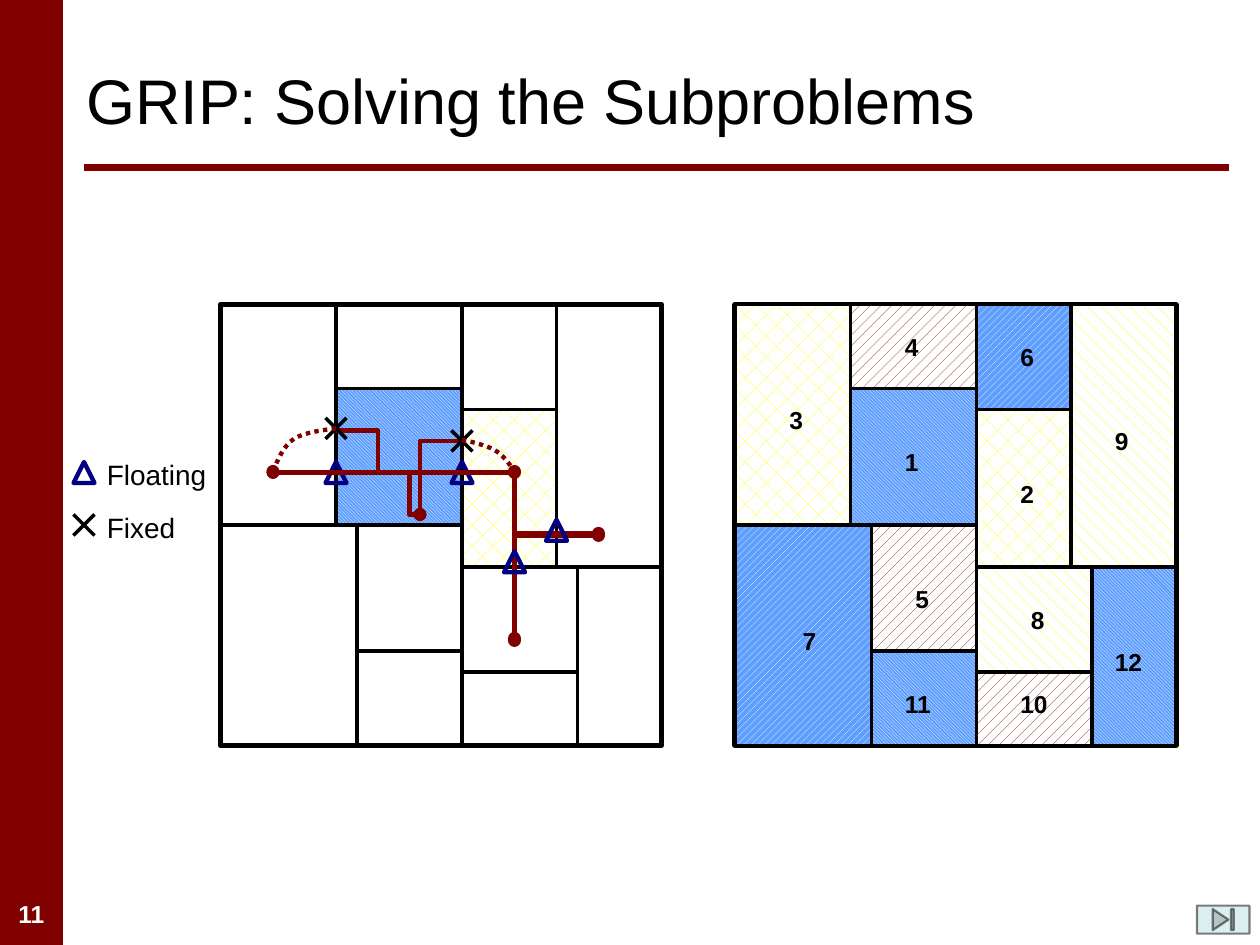
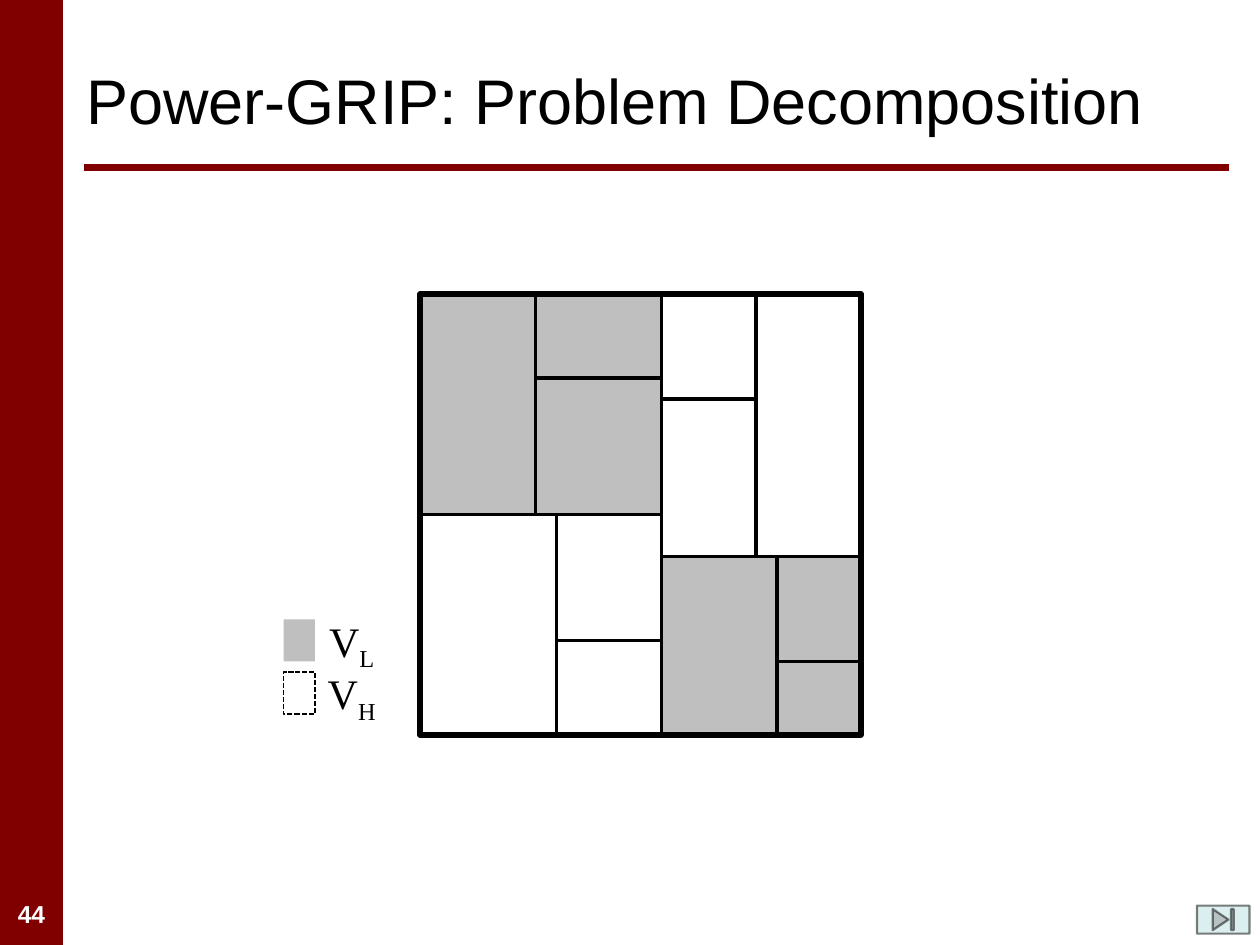
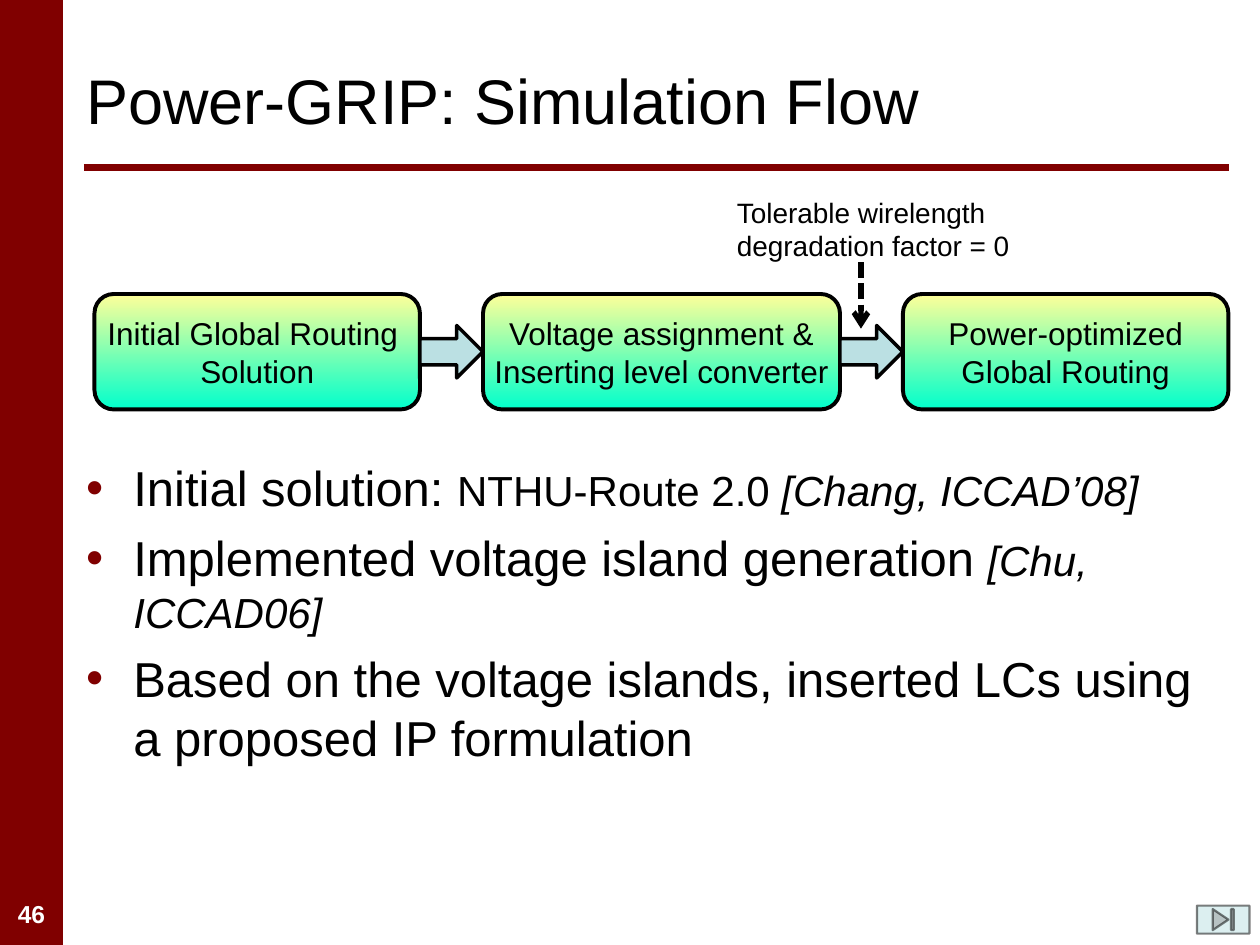
from pptx import Presentation
from pptx.dml.color import RGBColor
from pptx.enum.dml import MSO_LINE, MSO_PATTERN_TYPE as Pattern
from pptx.enum.shapes import MSO_CONNECTOR, MSO_SHAPE as Shape
from pptx.enum.text import MSO_ANCHOR, MSO_AUTO_SIZE, PP_ALIGN as Align
from pptx.oxml.ns import qn
from pptx.util import Emu, Inches, Pt
from lxml.etree import SubElement

COLORS = {
    "maroon": "800000", "navy": "000080", "black": "000000", "white": "FFFFFF",
    "yellow": "FFFF00", "blue": "5E9EFF", "gray": "BFBFBF", "teal": "BBE0E3",
    "cream": "FFFF99", "aqua": "00FFCC",
}
COLUMNS, ROWS = 120, 90
UNIT = Inches(10) / COLUMNS
BOARD = 42

HATCHES = {
    "brick": (Pattern.DIAGONAL_BRICK, "yellow", "white"),
    "down": (Pattern.DARK_DOWNWARD_DIAGONAL, "white", "blue"),
    "dots": (Pattern.PERCENT_20, "maroon", "white"),
    "up": (Pattern.WIDE_UPWARD_DIAGONAL, "white", "blue"),
    "shingle": (Pattern.SHINGLE, "yellow", "white"),
}
WALLS = [
    (23, 0, 23, 42), (0, 21, 23, 21), (23, 25, 42, 25), (32, 0, 32, 25),
    (34, 25, 34, 42), (11, 0, 11, 21), (13, 21, 13, 42), (23, 10, 32, 10),
    (11, 8, 23, 8), (13, 33, 23, 33),
]
ROOMS = [
    ((11, 8, 12, 13), "down", (15, 13)),
    ((23, 10, 9, 15), "brick", (26, 16)),
    ((0, 0, 11, 21), "brick", (4, 9)),
    ((11, 0, 12, 8), "dots", (15, 2)),
    ((13, 21, 10, 12), "dots", (16, 26)),
    ((23, 0, 9, 10), "up", (26, 3)),
    ((0, 21, 13, 21), "up", (5.25, 30)),
    ((23, 25, 11, 10), "shingle", (27, 28)),
    ((32, 0, 10, 25), "shingle", (35, 11)),
    ((23, 35, 11, 7), "dots", (26, 36)),
    ((13, 33, 10, 9), "down", (15, 36)),
    ((34, 25, 8, 17), "down", (35, 32)),
]


def grid(*values):
    return [Emu(round(value * UNIT)) for value in values]


def shift(rect, origin):
    return (rect[0] + origin[0], rect[1] + origin[1], *rect[2:])


def bezier(start, *curves, steps=8):
    points = [start]
    for first, second, end in curves:
        begin = points[-1]
        for step in range(1, steps + 1):
            t = step / steps
            weights = ((1 - t) ** 3, 3 * t * (1 - t) ** 2, 3 * t * t * (1 - t), t ** 3)
            corners = (begin, first, second, end)
            points.append(tuple(sum(w * c[axis] for w, c in zip(weights, corners))
                                for axis in (0, 1)))
    return points


class Deck:
    """Holds the shared style and the slide being drawn."""

    def __init__(self):
        self.presentation = Presentation()
        self.presentation.slide_width, self.presentation.slide_height = grid(COLUMNS, ROWS)
        self.slide = None

    def color(self, name):
        return RGBColor.from_string(COLORS[name])

    def start(self, title, number, layout=5):
        self.slide = self.presentation.slides.add_slide(self.presentation.slide_layouts[layout])
        self.shape(Shape.RECTANGLE, (0, 0, 6, ROWS), "maroon")
        self.line((8, 16), (117, 16), "maroon", 4)
        self.text((0, 85, 6, 4), [str(number)], 14, "white", bold=True, align=Align.CENTER)
        heading = self.slide.shapes.title
        self.place(heading, (7, 3, 110, 13))
        heading.text_frame.text = title
        heading.text_frame.vertical_anchor = MSO_ANCHOR.MIDDLE
        self.style(heading.text_frame.paragraphs[0], 36)

    def place(self, holder, rect):
        holder.left, holder.top, holder.width, holder.height = grid(*rect)
        holder.text_frame.auto_size = MSO_AUTO_SIZE.NONE

    def style(self, paragraph, size, color="black", font="Arial", bold=False, align=Align.LEFT):
        paragraph.alignment = align
        paragraph.font.name = font
        paragraph.font.size = Pt(size)
        paragraph.font.bold = bold
        paragraph.font.color.rgb = self.color(color)

    def fill_text(self, frame, lines, size, color="black", **options):
        frame.word_wrap = False
        for index, words in enumerate(lines):
            paragraph = frame.add_paragraph() if index else frame.paragraphs[0]
            paragraph.text = words
            self.style(paragraph, size, color, **options)

    def text(self, rect, lines, size, color="black", **options):
        box = self.slide.shapes.add_textbox(*grid(*rect))
        self.fill_text(box.text_frame, lines, size, color, **options)
        return box

    def stroke(self, line, color, width, dash=None, head=None, tail=None):
        line.color.rgb = self.color(color)
        line.width = Pt(width)
        if dash:
            line.dash_style = dash
        properties = line._get_or_add_ln()
        for tag, kind in (("a:headEnd", head), ("a:tailEnd", tail)):
            if kind:
                SubElement(properties, qn(tag)).set("type", kind)

    def shape(self, kind, rect, fill=None, line=None, width=2, dash=None):
        shape = self.slide.shapes.add_shape(kind, *grid(*rect))
        shape.shadow.inherit = False
        if fill in HATCHES:
            pattern, front, back = HATCHES[fill]
            shape.fill.patterned()
            shape.fill.pattern = pattern
            shape.fill.fore_color.rgb = self.color(front)
            shape.fill.back_color.rgb = self.color(back)
        elif fill:
            shape.fill.solid()
            shape.fill.fore_color.rgb = self.color(fill)
        else:
            shape.fill.background()
        if line:
            self.stroke(shape.line, line, width, dash)
        else:
            shape.line.fill.background()
        return shape

    def line(self, start, end, color="black", width=2, **ends):
        connector = self.slide.shapes.add_connector(MSO_CONNECTOR.STRAIGHT, *grid(*start, *end))
        self.stroke(connector.line, color, width, **ends)
        SubElement(connector._element.spPr, qn("a:effectLst"))
        return connector

    def route(self, points, dash=None, tail="oval"):
        corners = [grid(*point) for point in points]
        builder = self.slide.shapes.build_freeform(*corners[0])
        builder.add_line_segments(corners[1:], close=False)
        outline = builder.convert_to_shape()
        outline.fill.background()
        outline.shadow.inherit = False
        self.stroke(outline.line, "maroon", 2.5, dash, tail=tail)

    def triangle(self, left, top):
        self.shape(Shape.ISOSCELES_TRIANGLE, (left, top, 2, 2), line="navy", width=2.5)

    def cross(self, left, top):
        self.line((left, top), (left + 2, top + 2))
        self.line((left + 2, top), (left, top + 2))

    def floorplan(self, origin, last_wall):
        board = self.shape(Shape.RECTANGLE, (*origin, BOARD, BOARD), line="black", width=3)
        half = BOARD / 2
        sites = {(half, 0): 0, (0, half): 1, (half, BOARD): 2, (BOARD, half): 3}
        for wall in WALLS + [last_wall]:
            start, end = wall[:2], wall[2:]
            connector = self.line(shift(start, origin), shift(end, origin))
            if start in sites:
                connector.begin_connect(board, sites[start])
            if end in sites:
                connector.end_connect(board, sites[end])

    def room(self, rect, origin, fill, line=None):
        self.shape(Shape.RECTANGLE, shift(rect, origin), fill, line)

    def flow_box(self, rect, lines):
        box = self.shape(Shape.ROUNDED_RECTANGLE, rect, line="black", width=2.25)
        box.fill.gradient()
        box.fill.gradient_angle = 270
        for stop, position, name in zip(box.fill.gradient_stops, (0, 1), ("cream", "aqua")):
            stop.position = position
            stop.color.rgb = self.color(name)
        box.text_frame.vertical_anchor = MSO_ANCHOR.MIDDLE
        self.fill_text(box.text_frame, lines, 18, align=Align.CENTER)

    def symbol(self, rect, letter, subscript):
        box = self.text(rect, [letter], 24, font="Times New Roman", align=Align.CENTER)
        run = box.text_frame.paragraphs[0].add_run()
        run.text = subscript
        run.font._element.set("baseline", "-25000")

    def bullets(self, rect, items):
        body = self.slide.placeholders[1]
        self.place(body, rect)
        for index, runs in enumerate(items):
            paragraph = body.text_frame.add_paragraph() if index else body.text_frame.paragraphs[0]
            self.style(paragraph, 28)
            paragraph.space_before, paragraph.space_after = Pt(0), Pt(6.4)
            properties = paragraph._p.get_or_add_pPr()
            bullet_color = SubElement(properties, qn("a:buClr"))
            SubElement(bullet_color, qn("a:srgbClr")).set("val", COLORS["maroon"])
            properties.find(qn("a:defRPr")).addprevious(bullet_color)
            for words, size, italic in runs:
                run = paragraph.add_run()
                run.text = words
                run.font.size = Pt(size)
                run.font.italic = italic

    def end_button(self):
        button = self.shape(Shape.ACTION_BUTTON_END, (114, 86.25, 5, 2.67), "teal", "black", 1.25)
        for color in button._element.spPr.iter(qn("a:srgbClr")):
            SubElement(color, qn("a:alpha")).set("val", "50000")


def draw_subproblems(deck):
    deck.start("GRIP: Solving the Subproblems", 11)
    left_board, right_board = (21, 29), (70, 29)
    last_wall = (23, 35, 34, 35)
    for rect, hatch, _ in (ROOMS[1], ROOMS[0]):
        deck.room(rect, left_board, hatch, "black")
    deck.floorplan(left_board, last_wall)
    deck.route([(32, 41), (36, 41), (36, 45), (40, 45), (40, 42), (44, 42)], tail=None)
    deck.route([(39, 45), (39, 49), (40, 49)])
    for left in (31, 43):
        deck.triangle(left, 44)
    deck.line((26, 45), (49, 45), "maroon", 2.5, head="oval", tail="oval")
    deck.line((40, 45), (40, 49), "maroon", 2.5, tail="oval")
    for lift in (0, 0.2):
        deck.route([(49, 45 - lift), (49, 51 - lift), (57, 51 - lift)])
        deck.line((49, 51 - lift), (49, 61 - lift), "maroon", 2.5, tail="oval")
    for corner in ((43, 41), (31, 39.8), (7, 49)):
        deck.cross(*corner)
    deck.route(bezier((32, 40.8), ((30.5, 41), (29, 41.2), (28, 41.8)),
                      ((27, 42.5), (26.5, 43.7), (26, 44.9))), MSO_LINE.ROUND_DOT)
    deck.route(bezier((44, 41.9), ((45.1, 42.1), (46.2, 42.4), (47, 42.8)),
                      ((47.9, 43.3), (48.4, 44), (49, 44.9))), MSO_LINE.ROUND_DOT)
    for corner in ((48, 52.5), (52, 49.5), (7, 44)):
        deck.triangle(*corner)
    deck.text((9, 43, 12, 4.4), ["Floating"], 16)
    deck.text((9, 48, 9, 4.4), ["Fixed"], 16)
    deck.floorplan(right_board, last_wall)
    for rect, hatch, _ in ROOMS:
        deck.room(rect, right_board, hatch, "black")
    for number, (_, _, corner) in enumerate(ROOMS, 1):
        width = 3.7 if number < 10 else 5
        deck.text((*shift(corner, right_board), width, 4), [str(number)], 14, bold=True)
    deck.end_button()


def draw_decomposition(deck):
    deck.start("Power-GRIP: Problem Decomposition", 44)
    origin = (40, 28)
    for island in ((0, 0, 23, 21), (23, 25, 19, 17)):
        deck.room(island, origin, "gray")
    deck.symbol((30, 58, 7, 6), "V", "L")
    deck.shape(Shape.RECTANGLE, (27, 59, 3, 4), "gray")
    deck.shape(Shape.RECTANGLE, (27, 64, 3, 4), "white", "black", 1, MSO_LINE.SQUARE_DOT)
    deck.symbol((30, 63, 7, 6), "V", "H")
    deck.floorplan(origin, (34, 35, 42, 35))
    deck.end_button()


def draw_flow(deck):
    deck.start("Power-GRIP: Simulation Flow", 46, layout=1)
    deck.bullets((7, 43, 110, 44), [
        [("Initial solution: ", 28, False), ("NTHU-Route 2.0 ", 24, False),
         ("[Chang, ICCAD’08]", 24, True)],
        [("Implemented voltage island generation ", 28, False), ("[Chu, ICCAD06]", 24, True)],
        [("Based on the voltage islands, inserted LCs using a proposed IP formulation", 28, False)],
    ])
    deck.flow_box((9, 28, 31, 11), ["Initial Global Routing ", "Solution"])
    deck.flow_box((46, 28, 34, 11), ["Voltage assignment &", "Inserting level converter"])
    deck.flow_box((86, 28, 31, 11), ["Power-optimized", "Global Routing"])
    for left in (40, 80):
        deck.shape(Shape.RIGHT_ARROW, (left, 31, 6, 5), "teal", "black")
    deck.text((69, 18, 28.7, 7.7), ["Tolerable wirelength", "degradation factor = 0"], 16)
    deck.line((82, 25), (82, 31.3), width=3, dash=MSO_LINE.SQUARE_DOT, tail="arrow")
    deck.end_button()


def main():
    deck = Deck()
    for draw in (draw_subproblems, draw_decomposition, draw_flow):
        draw(deck)
    deck.presentation.save("out.pptx")


if __name__ == "__main__":
    main()
